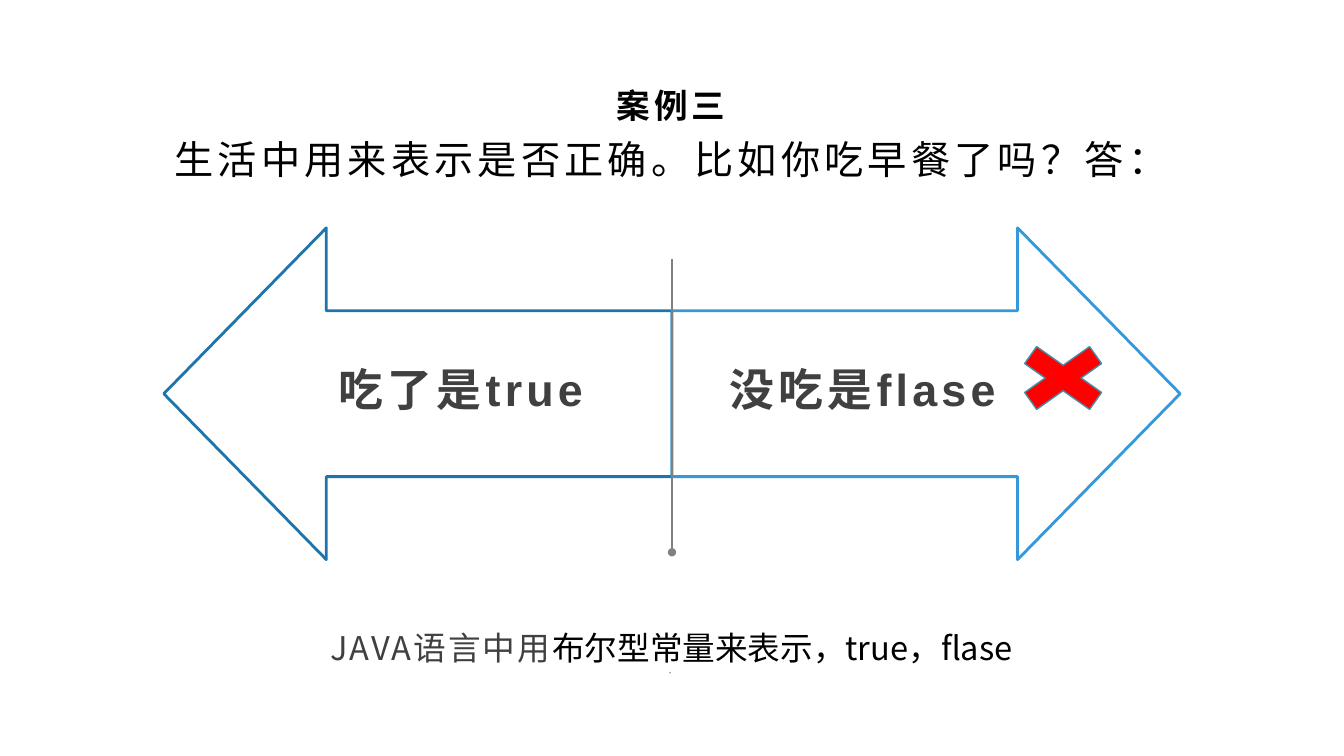
"""Build the boolean constants slide with two opposing arrows."""
from lxml.etree import SubElement
from pptx import Presentation
from pptx.dml.color import RGBColor
from pptx.enum.shapes import MSO_CONNECTOR, MSO_SHAPE as SHAPE
from pptx.enum.text import MSO_ANCHOR as ANCHOR, PP_ALIGN as ALIGN
from pptx.oxml.ns import qn
from pptx.util import Pt

PX = 9525
CJK = "Noto Sans CJK SC"
COLORS = {
    "white": "FFFFFF", "black": "000000", "dark": "404040", "gray": "808080",
    "navy": "1F74AD", "blue": "3498DB", "red": "FF0000", "teal": "468DA9",
}


def color(name):
    return RGBColor.from_string(COLORS[name])


def add_text(page, area, lines, anchor=ANCHOR.TOP, align=ALIGN.CENTER,
             top=5, bottom=5, font="Arial", bold=False):
    box = page.shapes.add_textbox(*[n * PX for n in area])
    frame = box.text_frame
    frame.word_wrap = True
    frame.vertical_anchor = anchor
    frame.margin_top, frame.margin_bottom = top * PX, bottom * PX
    for index, spans in enumerate(lines):
        para = frame.add_paragraph() if index else frame.paragraphs[0]
        para.alignment = align
        para.line_spacing = 1.2
        for text, size, ink, spacing in spans:
            span = para.add_run()
            span.text = text
            span.font.size = Pt(size)
            span.font.bold = bold
            span.font.color.rgb = color(ink)
            span.font.name = font
            props = span.font._element
            props.set("spc", str(spacing))
            SubElement(props, qn("a:ea"), typeface=CJK)


deck = Presentation()
deck.slide_width, deck.slide_height = 1280 * PX, 720 * PX
page = deck.slides.add_slide(deck.slide_layouts[6])

ARROW_WIDTH, MIDDLE = 484, 640
for kind, left, edge in [(SHAPE.LEFT_ARROW, MIDDLE - ARROW_WIDTH, "navy"),
                         (SHAPE.RIGHT_ARROW, MIDDLE, "blue")]:
    arrow = page.shapes.add_shape(
        kind, left * PX, 217 * PX, ARROW_WIDTH * PX, 316 * PX)
    arrow.adjustments[0] = 0.5
    arrow.adjustments[1] = 0.49
    arrow.shadow.inherit = False
    arrow.fill.solid()
    arrow.fill.fore_color.rgb = color("white")
    arrow.line.color.rgb = color(edge)
    arrow.line.width = Pt(2)

divider = page.shapes.add_connector(
    MSO_CONNECTOR.STRAIGHT, MIDDLE * PX, 247 * PX, MIDDLE * PX, 526 * PX)
divider.line.color.rgb = color("gray")
divider.line.width = Pt(1.5)
SubElement(divider.line._get_or_add_ln(), qn("a:tailEnd"), type="oval")
SubElement(divider._element.spPr, qn("a:effectLst"))

add_text(page, (178, 586, 923, 74), [
    [("JAVA语言中用", 23.3, "dark", 150),
     ("布尔型常量来表示，true，flase", 23.3, "black", 0)],
    [("。", 3.5, "black", 0)],
], font=CJK)
add_text(page, (313, 324, 363, 72), [[("吃了是true", 32, "dark", 300)]],
         anchor=ANCHOR.BOTTOM, align=ALIGN.LEFT, bottom=0, bold=True)
add_text(page, (640, 324, 363, 72), [[("没吃是flase", 32, "dark", 300)]],
         anchor=ANCHOR.BOTTOM, bottom=0, bold=True)
add_text(page, (47, 64, 1184, 55), [[("案例三", 24, "black", 300)]],
         anchor=ANCHOR.BOTTOM, bottom=0, bold=True)
add_text(page, (47, 120, 1184, 57),
         [[("生活中用来表示是否正确。比如你吃早餐了吗？答：", 28, "black", 300)]],
         top=0)

cross = page.shapes.add_shape(
    SHAPE.MATH_MULTIPLY, 953 * PX, 318 * PX, 119 * PX, 84 * PX)
cross.shadow.inherit = False
cross.fill.solid()
cross.fill.fore_color.rgb = color("red")
cross.line.color.rgb = color("teal")
cross.line.width = Pt(1)

deck.save("out.pptx")
